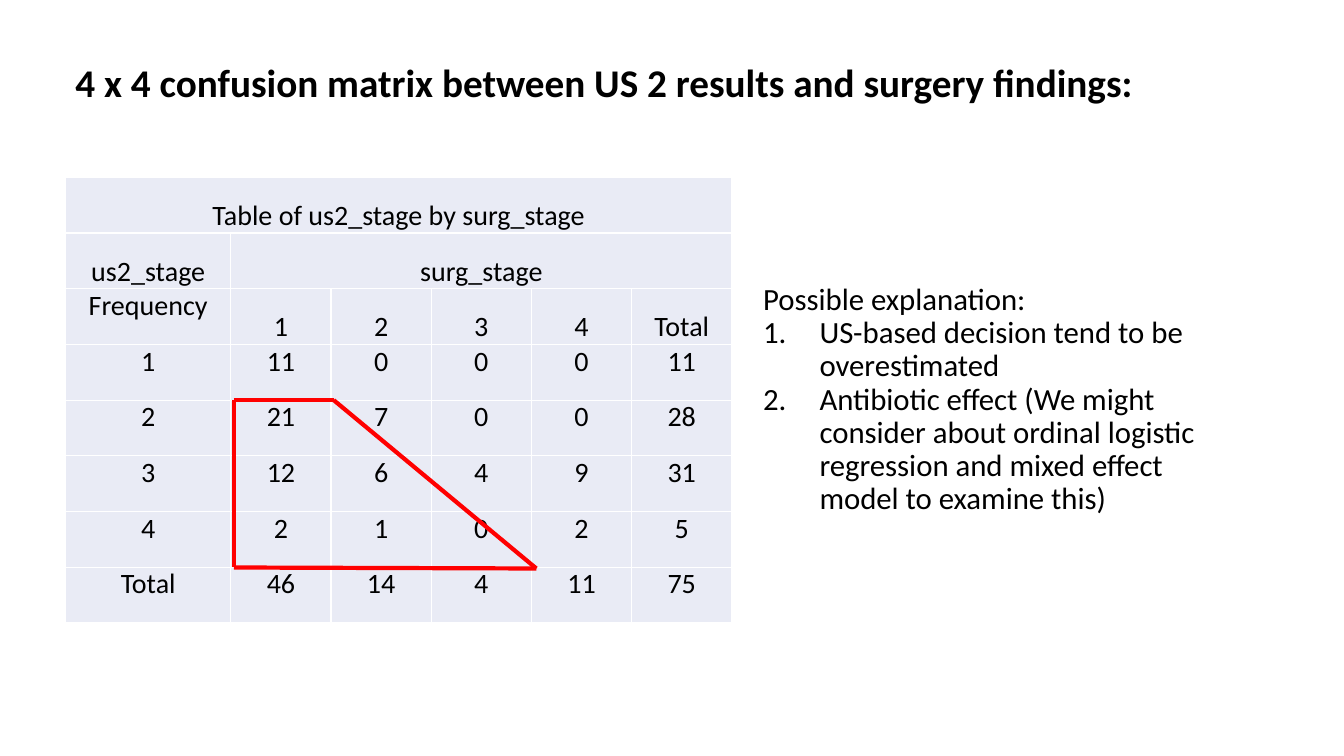
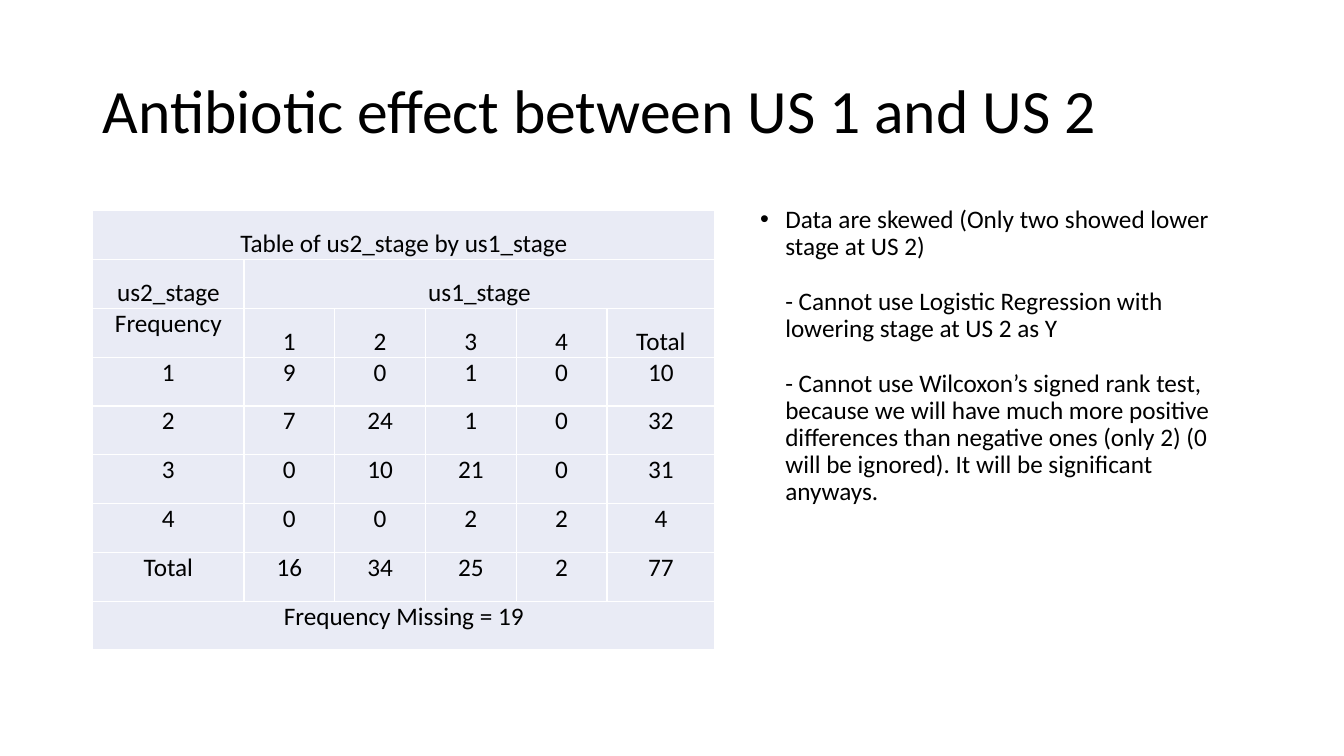
from dataclasses import dataclass
from itertools import pairwise

from lxml import etree
from pptx import Presentation
from pptx.dml.color import RGBColor
from pptx.enum.shapes import MSO_CONNECTOR
from pptx.enum.text import MSO_ANCHOR, PP_ALIGN
from pptx.oxml.ns import qn
from pptx.slide import Slide
from pptx.text.text import _Paragraph
from pptx.util import Inches, Pt

BLACK = RGBColor(0x00, 0x00, 0x00)
WHITE = RGBColor(0xFF, 0xFF, 0xFF)
RED = RGBColor(0xFF, 0x00, 0x00)
CELL_FILL = RGBColor(0xE9, 0xEB, 0xF5)
FONT = "Calibri"
CENTER = PP_ALIGN.CENTER
TOP, MIDDLE, BOTTOM = MSO_ANCHOR.TOP, MSO_ANCHOR.MIDDLE, MSO_ANCHOR.BOTTOM
STRAIGHT = MSO_CONNECTOR.STRAIGHT

HEADER_ROWS = 3
STAGES = ["1", "2", "3", "4"]
NUMBERED = ("buAutoNum", {"type": "arabicPeriod"})
DOT = ("buChar", {"char": "•"})


@dataclass
class Box:
    left: float
    top: float
    width: float
    height: float

    def lengths(self) -> list[int]:
        return [Inches(value) for value in (self.left, self.top, self.width, self.height)]


@dataclass
class TextLine:
    text: str
    indent: float = 0
    bullet: tuple[str, dict[str, str]] | None = None
    space_before: float = 0


@dataclass
class FrequencyTable:
    box: Box
    column_widths: list[float]
    font_size: float
    column_variable: str
    counts: list[list[int]]
    footer: str = ""

    def rows(self) -> list[list[str]]:
        """Rows with one text each span the table; two texts span from the second column."""
        labels = STAGES + ["Total"]
        rows = [
            [f"Table of us2_stage by {self.column_variable}"],
            ["us2_stage", self.column_variable],
            ["Frequency", *labels],
        ]
        rows += [[label, *map(str, values)] for label, values in zip(labels, self.counts)]
        return rows + ([[self.footer]] if self.footer else [])


def format_runs(paragraph: _Paragraph, size: float, bold: bool = False) -> None:
    for run in paragraph.runs:
        run.font.name = FONT
        run.font.size = Pt(size)
        run.font.bold = bold
        run.font.color.rgb = BLACK


def add_text(slide: Slide, box: Box, lines: list[TextLine], size: float,
             anchor: MSO_ANCHOR = MIDDLE, bold: bool = False) -> None:
    text_frame = slide.shapes.add_textbox(*box.lengths()).text_frame
    text_frame.word_wrap = True
    text_frame.vertical_anchor = anchor
    text_frame.text = "\n".join(line.text for line in lines)
    for paragraph, line in zip(text_frame.paragraphs, lines):
        paragraph.line_spacing = 0.9
        paragraph.space_before = Pt(line.space_before)
        format_runs(paragraph, size, bold)
        properties = paragraph._p.get_or_add_pPr()
        properties.set("marL", str(Inches(line.indent)))
        if line.bullet:
            tag, attributes = line.bullet
            properties.set("indent", str(-Inches(line.indent)))
            etree.SubElement(properties, qn("a:buFont"), typeface="Arial")
            etree.SubElement(properties, qn(f"a:{tag}"), attributes)


def style_cell(cell, anchor: MSO_ANCHOR) -> None:
    cell.fill.solid()
    cell.fill.fore_color.rgb = CELL_FILL
    cell.margin_left = cell.margin_right = Inches(0.05)
    cell.margin_top = cell.margin_bottom = 0
    cell.vertical_anchor = anchor
    # Borders come before the fill in the cell properties
    properties = cell._tc.get_or_add_tcPr()
    for position, side in enumerate(("lnL", "lnR", "lnT", "lnB")):
        border = etree.Element(qn(f"a:{side}"), w=str(Pt(1)))
        fill = etree.SubElement(border, qn("a:solidFill"))
        etree.SubElement(fill, qn("a:srgbClr"), val=str(WHITE))
        properties.insert(position, border)


def add_frequency_table(slide: Slide, spec_table: FrequencyTable) -> None:
    rows = spec_table.rows()
    column_count = len(spec_table.column_widths)
    table = slide.shapes.add_table(len(rows), column_count, *spec_table.box.lengths()).table
    table.first_row = table.horz_banding = False
    for column, width in zip(table.columns, spec_table.column_widths):
        column.width = Inches(width)

    for row_index, texts in enumerate(rows):
        table.rows[row_index].height = Inches(spec_table.box.height / len(rows))
        for column_index in range(column_count):
            cell = table.cell(row_index, column_index)
            in_header = row_index < HEADER_ROWS
            text = texts[column_index] if column_index < len(texts) else ""
            style_cell(cell, BOTTOM if in_header and text != "Frequency" else TOP)
            if text:
                cell.text_frame.text = text
                paragraph = cell.text_frame.paragraphs[0]
                paragraph.alignment = CENTER
                paragraph.space_before = paragraph.space_after = Pt(3.4)
                format_runs(paragraph, spec_table.font_size)
        if len(texts) < column_count:
            last_cell = table.cell(row_index, column_count - 1)
            table.cell(row_index, len(texts) - 1).merge(last_cell)


def add_outline(slide: Slide, corners: list[tuple[float, float]]) -> None:
    for start, end in pairwise(corners + corners[:1]):
        line = slide.shapes.add_connector(STRAIGHT, *map(Inches, start + end))
        line.line.color.rgb = RED
        line.line.width = Pt(3)
        etree.SubElement(line._element.spPr, qn("a:effectLst"))


def build_surgery_slide(slide: Slide) -> None:
    title = "4 x 4 confusion matrix between US 2 results and surgery findings:"
    add_text(slide, Box(0.65, 0.44, 11.5, 0.81), [TextLine(title)], 28, bold=True)
    add_frequency_table(slide, FrequencyTable(
        Box(0.65, 1.76, 6.61, 4.42), [1.64] + [4.97 / 5] * 5, 20, "surg_stage",
        [
            [11, 0, 0, 0, 11],
            [21, 7, 0, 0, 28],
            [12, 6, 4, 9, 31],
            [2, 1, 0, 2, 5],
            [46, 14, 4, 11, 75],
        ],
    ))
    # Overestimated cases below the diagonal
    add_outline(slide, [(2.32, 3.97), (3.31, 3.97), (5.32, 5.64), (2.32, 5.63)])
    add_text(slide, Box(7.47, 1.76, 4.68, 4.42), [
        TextLine("Possible explanation:"),
        TextLine("US-based decision tend to be overestimated", 0.56, NUMBERED),
        TextLine("Antibiotic effect (We might consider about ordinal logistic regression "
                 "and mixed effect model to examine this)", 0.56, NUMBERED),
    ], 22)


def build_antibiotic_slide(slide: Slide) -> None:
    title = "Antibiotic effect between US 1 and US 2"
    add_text(slide, Box(0.92, 0.4, 11.5, 1.45), [TextLine(title)], 44)
    add_text(slide, Box(7.44, 2, 4.98, 4.76), [
        TextLine("Data are skewed (Only two showed lower stage at US 2)", 0.25, DOT),
        TextLine("- Cannot use Logistic Regression with lowering stage at US 2 as Y",
                 0.25, space_before=19.6),
        TextLine("- Cannot use Wilcoxon’s signed rank test, because we will have much more "
                 "positive differences than negative ones (only 2) (0 will be ignored). "
                 "It will be significant anyways.", 0.25, space_before=19.6),
    ], 18, TOP)
    add_frequency_table(slide, FrequencyTable(
        Box(0.92, 2.09, 6.16, 4.36), [1.5] + [0.9] * 4 + [1.07], 18, "us1_stage",
        [
            [9, 0, 1, 0, 10],
            [7, 24, 1, 0, 32],
            [0, 10, 21, 0, 31],
            [0, 0, 2, 2, 4],
            [16, 34, 25, 2, 77],
        ],
        "Frequency Missing = 19",
    ))


def main() -> None:
    presentation = Presentation()
    presentation.slide_width = Inches(13.33)
    presentation.slide_height = Inches(7.5)
    blank_layout = presentation.slide_layouts[6]
    for build in (build_surgery_slide, build_antibiotic_slide):
        build(presentation.slides.add_slide(blank_layout))
    presentation.save("out.pptx")


if __name__ == "__main__":
    main()
